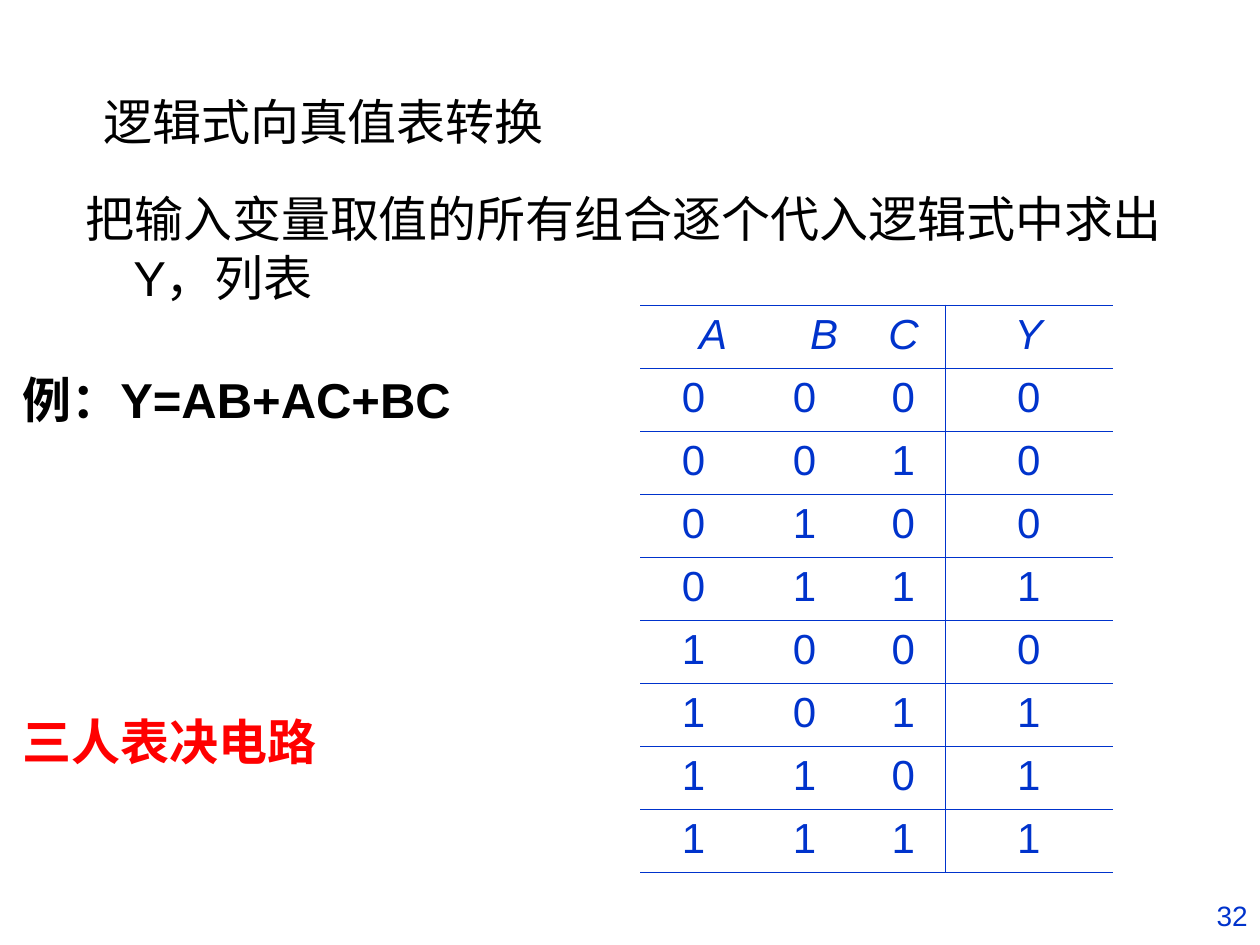
"""Build the slide on turning a logic expression into a truth table."""
import pptx
import pptx.dml.color
import pptx.enum.text
import pptx.oxml.ns
import pptx.util
from lxml import etree

BLACK = pptx.dml.color.RGBColor(0x00, 0x00, 0x00)
BLUE = pptx.dml.color.RGBColor(0x00, 0x33, 0xCC)
RED = pptx.dml.color.RGBColor(0xFF, 0x00, 0x00)
FONT = "Arial"
inches = pptx.util.Inches
ALIGN = pptx.enum.text.PP_ALIGN
FIT = pptx.enum.text.MSO_AUTO_SIZE

TITLE = "逻辑式向真值表转换"
METHOD = "把输入变量取值的所有组合逐个代入逻辑式中求出Y，列表"
EXAMPLE = "例：Y=AB+AC+BC"
CIRCUIT = "三人表决电路"
PAGE_NUMBER = "32"
VARIABLES = "ABCY"
TRUTH_ROWS = ["0000", "0010", "0100", "0111", "1000", "1011", "1101", "1111"]

MARGIN = 0.08
LINE_HEIGHT = 0.57
COLUMN_WIDTHS = [0.85, 0.31, 0.6, 0.66, 1.33]
ROW_HEIGHT = 0.5
TABLE_LEFT, TABLE_TOP = 5.08, 2.42
HEADER_COLUMNS = [0, 2, 3, 4]
VALUE_COLUMNS = [0, 1, 3, 4]
OUTPUT_COLUMN = 4


def write(frame, text, size, color, align=ALIGN.LEFT, bold=False, italic=False):
    para = frame.paragraphs[0]
    para.alignment = align
    span = para.add_run()
    span.text = text
    font = span.font
    font.name, font.size, font.bold, font.italic = FONT, pptx.util.Pt(size), bold, italic
    font.color.rgb = color
    return para


def add_text(page, place, text, size, color, **style):
    box = page.shapes.add_textbox(*map(inches, place))
    box.text_frame.word_wrap = True
    para = write(box.text_frame, text, size, color, **style)
    box.text_frame.auto_size = FIT.SHAPE_TO_FIT_TEXT
    return para


def set_borders(cell, sides):
    properties = cell._tc.get_or_add_tcPr()
    qn = pptx.oxml.ns.qn
    for side in "LRTB":
        line = etree.SubElement(properties, qn(f"a:ln{side}"), w=str(pptx.util.Pt(0.45)))
        if side in sides:
            fill = etree.SubElement(line, qn("a:solidFill"))
            etree.SubElement(fill, qn("a:srgbClr"), val=str(BLUE))
        else:
            etree.SubElement(line, qn("a:noFill"))


def add_truth_table(page):
    rows = [VARIABLES] + TRUTH_ROWS
    table = page.shapes.add_table(
        len(rows), len(COLUMN_WIDTHS), inches(TABLE_LEFT), inches(TABLE_TOP),
        inches(sum(COLUMN_WIDTHS)), inches(ROW_HEIGHT * len(rows))).table
    table.first_row = table.horz_banding = False
    for column, width in zip(table.columns, COLUMN_WIDTHS):
        column.width = inches(width)
    for number, values in enumerate(rows):
        table.rows[number].height = inches(ROW_HEIGHT)
        is_header = number == 0
        for column in range(len(COLUMN_WIDTHS)):
            cell = table.cell(number, column)
            divider = {OUTPUT_COLUMN - 1: "R", OUTPUT_COLUMN: "L"}.get(column, "")
            set_borders(cell, "TB" + divider)
            cell.fill.background()
        first = 0 if is_header else 1
        table.cell(number, first).merge(table.cell(number, first + 1))
        columns = HEADER_COLUMNS if is_header else VALUE_COLUMNS
        for column, value in zip(columns, values):
            write(table.cell(number, column).text_frame, value, 24, BLUE,
                  align=ALIGN.CENTER, italic=is_header)


def main():
    deck = pptx.Presentation()
    deck.slide_width, deck.slide_height = inches(10), inches(7.5)
    page = deck.slides.add_slide(deck.slide_layouts[5])

    title = page.shapes.title
    title.left, title.top, title.width, title.height = map(
        inches, (0.72, 0.68, 3.8, LINE_HEIGHT))
    frame = title.text_frame
    frame.word_wrap = True
    frame.auto_size = FIT.SHAPE_TO_FIT_TEXT
    frame.vertical_anchor = pptx.enum.text.MSO_ANCHOR.TOP
    write(frame, TITLE, 28, BLACK)

    method = add_text(page, (MARGIN, 1.45, 9.67, 1.04), METHOD, 28, BLACK)
    method.level = 1
    indents = method._p.get_or_add_pPr()
    indents.set("marL", str(inches(0.88)))
    indents.set("indent", str(inches(-0.38)))

    add_text(page, (MARGIN, 2.88, 5, LINE_HEIGHT), EXAMPLE, 28, BLACK, bold=True)
    add_truth_table(page)
    add_text(page, (MARGIN, 5.6, 3.25, LINE_HEIGHT), CIRCUIT, 28, RED, bold=True)
    add_text(page, (7.5, 7.08, 2.5, 0.42), PAGE_NUMBER, 16, BLUE, align=ALIGN.RIGHT)
    deck.save("out.pptx")


if __name__ == "__main__":
    main()
